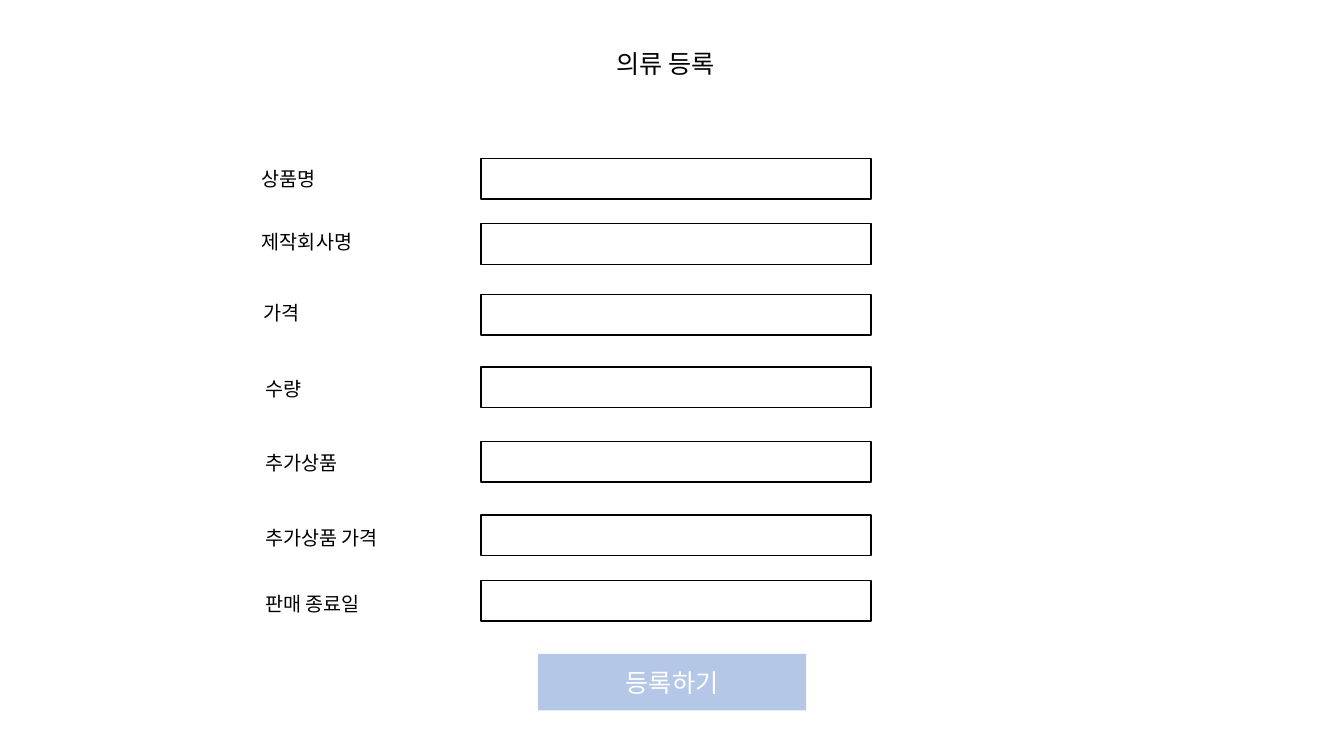
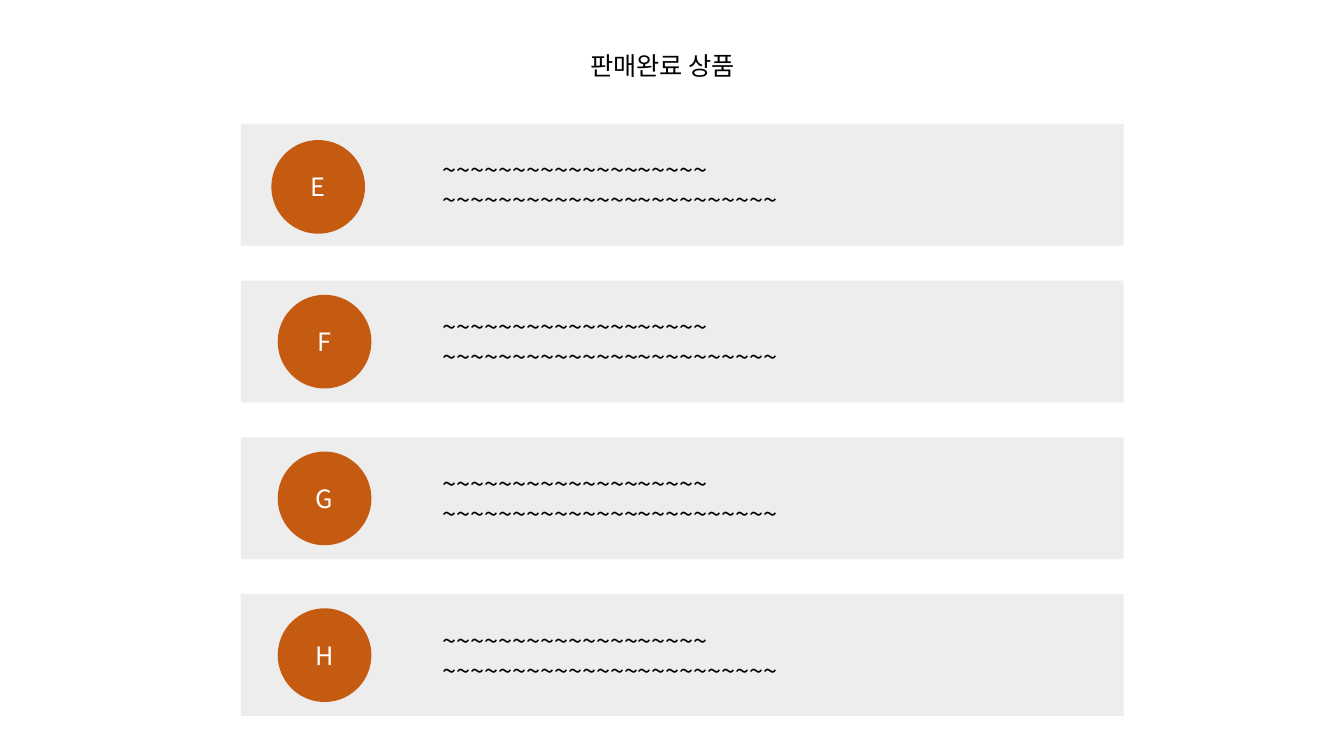
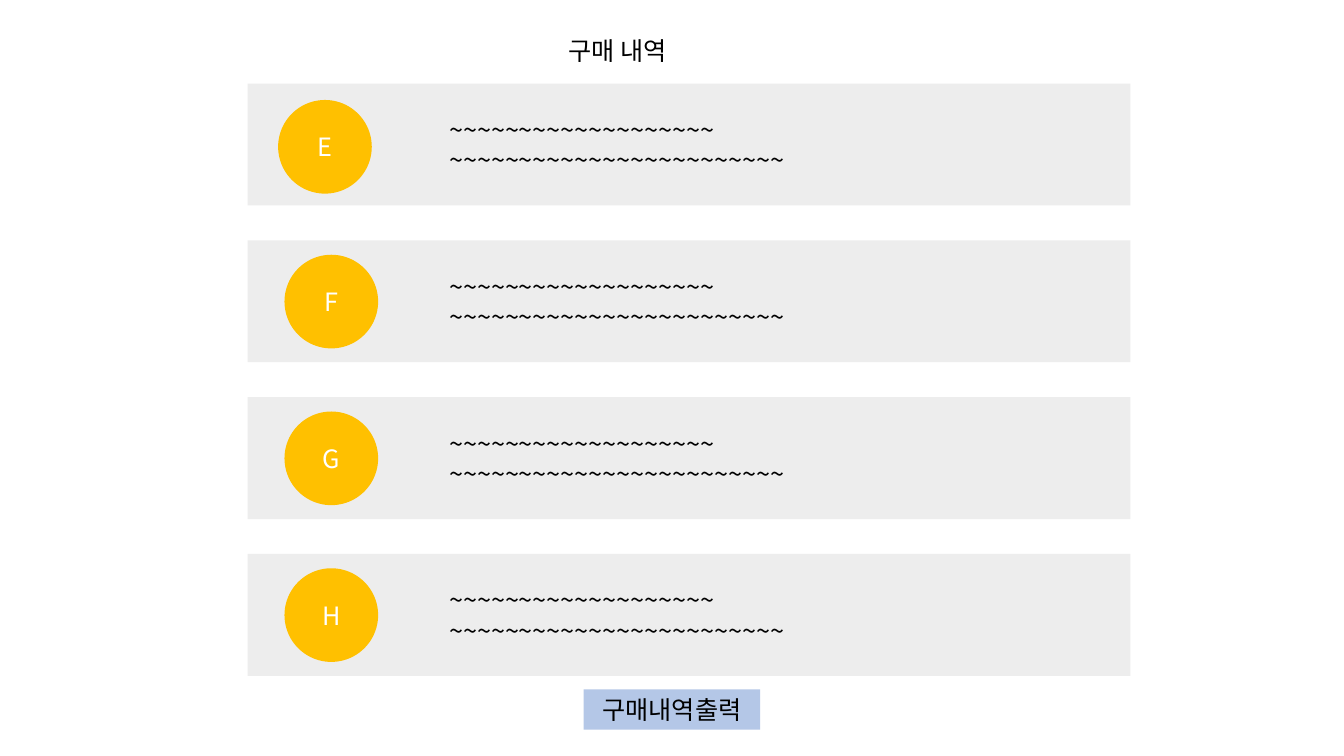
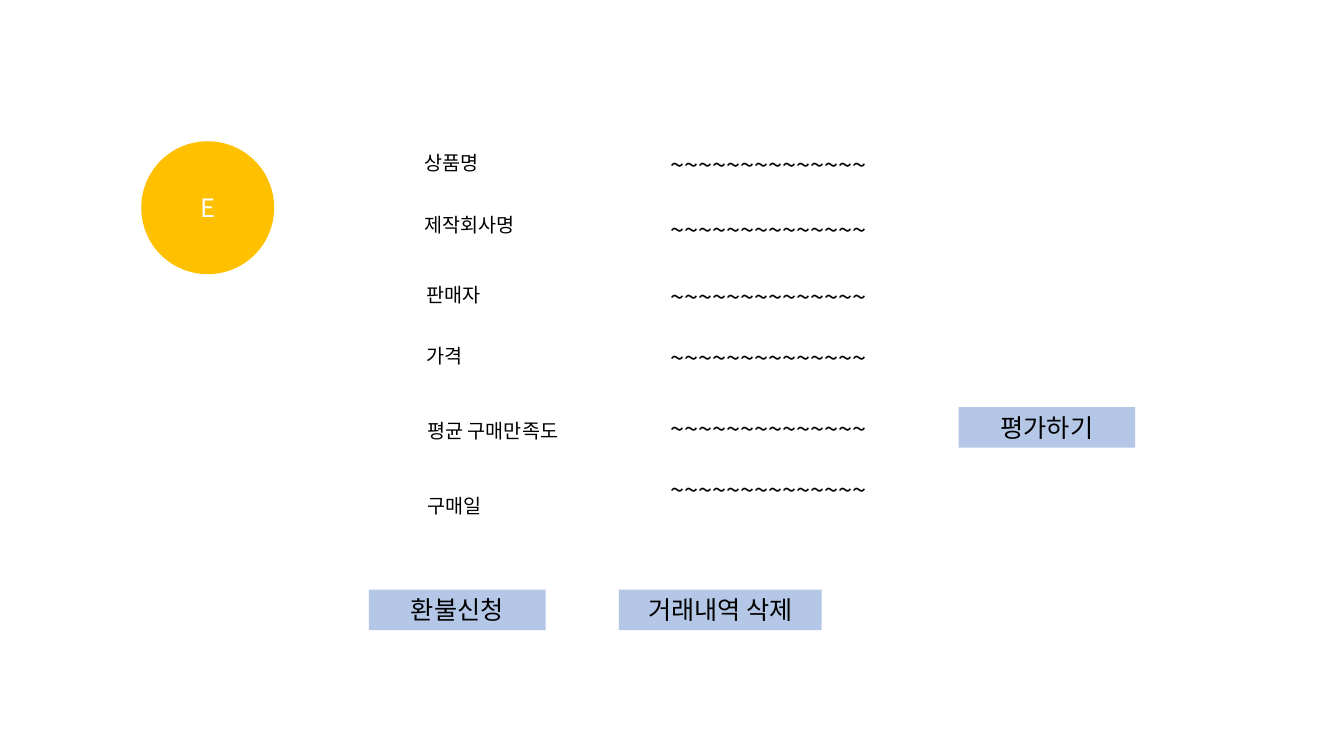
from lxml.etree import SubElement
from pptx import Presentation
from pptx.dml.color import RGBColor
from pptx.enum.shapes import MSO_SHAPE
from pptx.enum.text import MSO_ANCHOR, MSO_AUTO_SIZE, PP_ALIGN
from pptx.oxml.ns import qn
from pptx.util import Cm, Pt

FONT = "Noto Sans CJK KR"
BLACK, WHITE = "000000", "FFFFFF"
CARD, BUTTON = "EDEDED", "B4C7E7"
ORANGE, YELLOW = "C55A11", "FFC000"
TITLE_SIZE, LABEL_SIZE = 18, 14
LINE_H, LABEL_H = 1.02, 0.86
CARD_W, CARD_H, CARD_STEP = 22.25, 3.07, 3.95


def rgb(value):
    return RGBColor.from_string(value)


def style_text(tf, size, color):
    for p in tf.paragraphs:
        for r in p.runs:
            r.font.name = FONT
            r.font.size = Pt(size)
            r.font.color.rgb = rgb(color)
            SubElement(r.font._element, qn("a:ea"), typeface=FONT)


def add_text(s, text, left, top, width, height, size=TITLE_SIZE, wrap=False):
    tf = s.shapes.add_textbox(Cm(left), Cm(top), Cm(width), Cm(height)).text_frame
    tf.text = text
    tf.word_wrap = wrap
    tf.auto_size = MSO_AUTO_SIZE.SHAPE_TO_FIT_TEXT
    style_text(tf, size, BLACK)


def add_label(s, text, left, top, size=LABEL_SIZE, height=LABEL_H):
    spaces = text.count(" ")
    width = 0.51 + size * (0.0353 * (len(text) - spaces) + 0.0141 * spaces)
    add_text(s, text, left, top, round(width, 2), height, size)


def add_title(s, text, left, top):
    add_label(s, text, left, top, TITLE_SIZE, LINE_H)


def add_block(s, kind, left, top, width, height, fill, text="", color=WHITE, line=None):
    sp = s.shapes.add_shape(kind, Cm(left), Cm(top), Cm(width), Cm(height))
    sp.shadow.inherit = False
    sp.fill.solid()
    sp.fill.fore_color.rgb = rgb(fill)
    if line:
        sp.line.color.rgb = rgb(line)
        sp.line.width = Pt(1)
    else:
        sp.line.fill.background()
    if text:
        tf = sp.text_frame
        tf.text = text
        tf.vertical_anchor = MSO_ANCHOR.MIDDLE
        tf.paragraphs[0].alignment = PP_ALIGN.CENTER
        style_text(tf, TITLE_SIZE, color)


def add_button(s, text, left, top, width=4.45, height=LINE_H, color=BLACK):
    add_block(s, MSO_SHAPE.RECTANGLE, left, top, width, height, BUTTON, text, color)


def add_badge(s, letter, left, top, size, fill):
    add_block(s, MSO_SHAPE.OVAL, left, top, size, size, fill, letter)


def add_form(s, left, top, rows):
    for text, indent, label_y, field_y in rows:
        add_label(s, text, left + indent, top + label_y)
        add_block(s, MSO_SHAPE.RECTANGLE, left + 5.77, top + field_y,
                  9.83, LINE_H, WHITE, line=BLACK)


def add_details(s, left, top, rows):
    for text, indent, label_y, value_y in rows:
        add_label(s, text, left + indent, top + label_y)
        add_text(s, "~" * 14, left + 6.22, top + value_y, 6.81, LINE_H)


def add_card(s, left, top, letter, color, badge_x, badge_y):
    add_block(s, MSO_SHAPE.RECTANGLE, left, top, CARD_W, CARD_H, CARD)
    add_badge(s, letter, left + badge_x, top + badge_y, 2.36, color)
    add_text(s, "~" * 19 + "\n" + "~" * 24, left + 4.83, top + 0.65,
             11.25, 1.8, wrap=True)


def add_card_list(s, left, top, color):
    for i, letter in enumerate("EFGH"):
        badge_x, badge_y = (0.93, 0.36) if i else (0.77, 0.41)
        add_card(s, left, top + i * CARD_STEP, letter, color, badge_x, badge_y)


def registration_slide(s):
    add_title(s, "의류 등록", 15.29, 1.09)
    add_form(s, 6.35, 4, [
        ("상품명", 0, 0.09, 0),
        ("제작회사명", 0, 1.66, 1.64),
        ("가격", 0.05, 3.47, 3.42),
        ("수량", 0.08, 5.37, 5.25),
        ("추가상품", 0.08, 7.25, 7.13),
        ("추가상품 가격", 0.08, 9.13, 8.98),
        ("판매 종료일", 0.08, 10.78, 10.63),
    ])
    add_button(s, "등록하기", 13.56, 16.48, 6.76, 1.42, WHITE)


def sold_slide(s):
    add_title(s, "판매완료 상품", 14.63, 1.14)
    add_card_list(s, 6.07, 3.12, ORANGE)


def purchases_slide(s):
    add_title(s, "구매 내역", 14.07, 0.76)
    add_card_list(s, 6.24, 2.11, YELLOW)
    add_button(s, "구매내역출력", 14.71, 17.37)


def purchase_detail_slide(s):
    add_badge(s, "E", 3.56, 3.56, 3.35, YELLOW)
    add_details(s, 10.44, 3.63, [
        ("상품명", 0, 0.05, 0),
        ("제작회사명", 0, 1.6, 1.65),
        ("판매자", 0.05, 3.38, 3.33),
        ("가격", 0.05, 4.9, 4.88),
        ("평균 구매만족도", 0.08, 6.81, 6.66),
        ("구매일", 0.08, 8.69, 8.21),
    ])
    add_button(s, "평가하기", 24.16, 10.26)
    add_button(s, "환불신청", 9.3, 14.86)
    add_button(s, "거래내역 삭제", 15.6, 14.86, 5.11)


def main():
    prs = Presentation()
    prs.slide_width, prs.slide_height = Cm(33.87), Cm(19.05)
    for build in (registration_slide, sold_slide, purchases_slide, purchase_detail_slide):
        build(prs.slides.add_slide(prs.slide_layouts[6]))
    prs.save("out.pptx")


if __name__ == "__main__":
    main()
